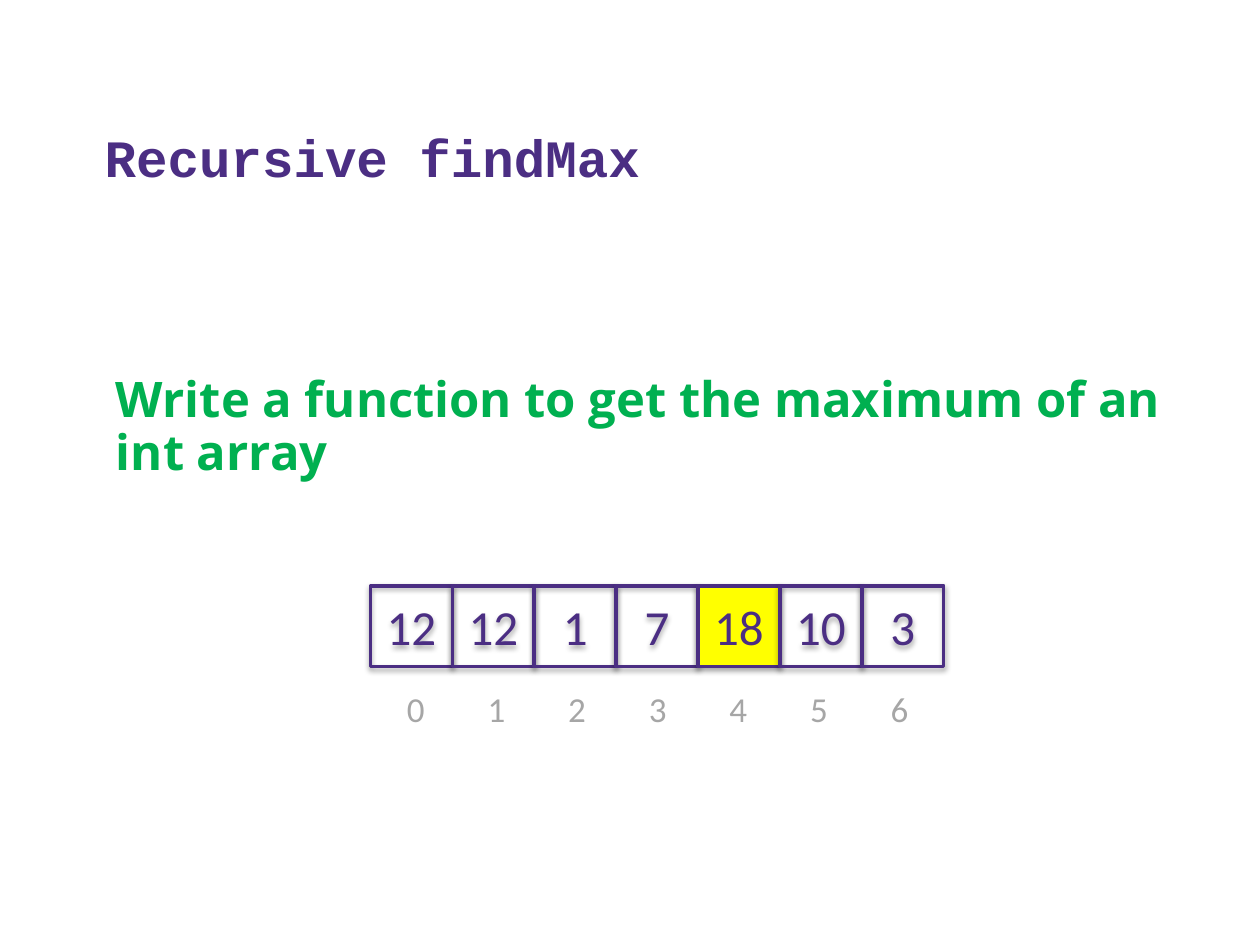
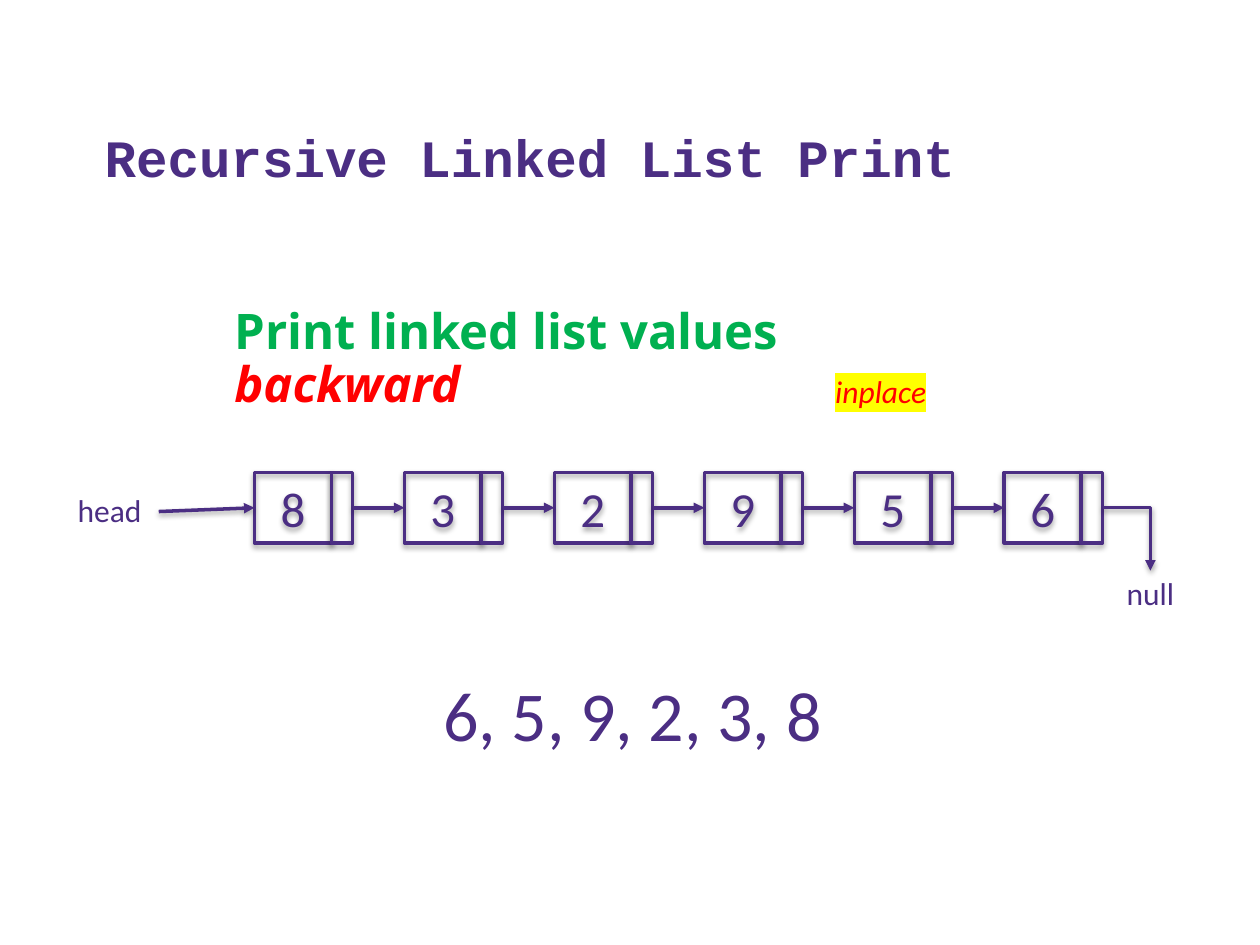
from lxml import etree
from pptx import Presentation
from pptx.dml.color import RGBColor
from pptx.enum.shapes import MSO_CONNECTOR, MSO_SHAPE
from pptx.enum.text import MSO_ANCHOR, MSO_AUTO_SIZE, PP_ALIGN
from pptx.oxml.ns import qn
from pptx.util import Inches, Pt

RECT = MSO_SHAPE.RECTANGLE
LINE, ELBOW = MSO_CONNECTOR.STRAIGHT, MSO_CONNECTOR.ELBOW
LEFT, MID = PP_ALIGN.LEFT, PP_ALIGN.CENTER
TOP, CENTRE, LOW = MSO_ANCHOR.TOP, MSO_ANCHOR.MIDDLE, MSO_ANCHOR.BOTTOM

PURPLE = RGBColor(0x4B, 0x2E, 0x83)
GREEN = RGBColor(0x00, 0xB0, 0x50)
RED = RGBColor(0xFF, 0x00, 0x00)
GREY = RGBColor(0xA6, 0xA6, 0xA6)
YELLOW = RGBColor(0xFF, 0xFF, 0x00)


def write(shape, text, size=28, color=PURPLE, face="Calibri", bold=False,
          italic=False, align=MID, anchor=TOP, wrap=False, mark=None):
    """Add a formatted run to the shape's first paragraph."""
    frame = shape.text_frame
    frame.auto_size = MSO_AUTO_SIZE.NONE
    frame.word_wrap = wrap
    frame.vertical_anchor = anchor
    para = frame.paragraphs[0]
    para.alignment = align
    run = para.add_run()
    run.text = text
    font = run.font
    font.size, font.bold, font.italic = Pt(size), bold, italic
    font.color.rgb = color
    if mark:
        light = etree.SubElement(run._r.get_or_add_rPr(), qn("a:highlight"))
        etree.SubElement(light, qn("a:srgbClr"), val=str(mark))
    font.name = face


def ink(shape, arrow=False):
    """Give a box or an arrow its purple line and soft shadow."""
    shape.line.color.rgb = PURPLE
    shape.line.width = Pt(2)
    props = shape._element.spPr
    if arrow:
        etree.SubElement(props.find(qn("a:ln")), qn("a:tailEnd"), type="triangle")
    glow = etree.SubElement(props, qn("a:effectLst"))
    shade = etree.SubElement(glow, qn("a:outerShdw"), blurRad="40000",
                             dist="22000", dir="5400000", rotWithShape="0")
    black = etree.SubElement(shade, qn("a:srgbClr"), val="000000")
    etree.SubElement(black, qn("a:alpha"), val="35000")


deck = Presentation()
deck.slide_width, deck.slide_height = Inches(10), Inches(7.5)

# Titles and tasks
PAGES = [
    ("Recursive findMax", (0.82, 2.93, 8.96, 0.68),
     [("Write a function to get the maximum of an int array", GREEN, False)]),
    ("Recursive Linked List Print", (1.76, 2.39, 6.25, 0.68),
     [("Print linked list values ", GREEN, False), ("backward", RED, True)]),
]
for name, place, parts in PAGES:
    slide = deck.slides.add_slide(deck.slide_layouts[1])
    title, task = slide.shapes.title, slide.placeholders[1]
    for box, spot in ((title, (0.73, 0.41, 8.95, 1.08)), (task, place)):
        box.left, box.top, box.width, box.height = map(Inches, spot)
    title.text_frame.margin_bottom = 0
    write(title, name, size=30, face="Courier New", bold=True, align=LEFT,
          anchor=LOW, wrap=True)
    para = task.text_frame.paragraphs[0]
    para.space_before, para.line_spacing = Pt(0), 0.9
    props = para._p.get_or_add_pPr()
    props.set("marL", "0")
    props.set("indent", "0")
    etree.SubElement(props, qn("a:buNone"))
    for text, color, italic in parts:
        write(task, text, color=color, face="Open Sans", bold=True,
              italic=italic, align=LEFT, wrap=True)

# Array with its indexes
first, second = (slide.shapes for slide in deck.slides)
CELL, EDGE = 0.65, 2.94
values = [12, 12, 1, 7, 18, 10, 3]
for i, value in enumerate(values):
    cell = first.add_shape(RECT, Inches(EDGE + i * CELL), Inches(4.65),
                           Inches(CELL), Inches(0.64))
    if value == max(values):
        cell.fill.solid()
        cell.fill.fore_color.rgb = YELLOW
    else:
        cell.fill.background()
    ink(cell)
    write(cell, str(value), anchor=CENTRE)
    index = first.add_textbox(Inches(3.13 + i * 0.64), Inches(5.41),
                              Inches(0.34), Inches(0.44))
    write(index, str(i), size=20, color=GREY)

# Linked list
START, STEP, DATA, LINK = 2.02, 1.19, 0.61, 0.17
ROW, HIGH = 3.75, 0.56
AXIS = ROW + HIGH / 2
nodes = [8, 3, 2, 9, 5, 6]
arrows = [(LINE, 1.26, 4.06, START, AXIS)]
for i, value in enumerate(nodes):
    left = START + i * STEP
    for x, width, text in ((left, DATA, str(value)), (left + DATA, LINK, "")):
        part = second.add_shape(RECT, Inches(x), Inches(ROW),
                                Inches(width), Inches(HIGH))
        part.fill.background()
        ink(part)
        if text:
            write(part, text, anchor=CENTRE)
    out = left + DATA + LINK
    if i < len(nodes) - 1:
        arrows.append((LINE, out, AXIS, left + STEP, AXIS))
    else:
        arrows.append((ELBOW, out, AXIS, 9.13, 4.53))

for kind, *ends in arrows:
    arrow = second.add_connector(kind, *map(Inches, ends))
    if kind == ELBOW:
        arrow._element.spPr.find(qn("a:prstGeom")).set("prst", "bentConnector2")
    ink(arrow, arrow=True)

for text, spot, look in [
    ("head", (0.48, 3.85, 0.78, 0.4), {"size": 18}),
    ("null", (8.74, 4.51, 0.78, 0.4), {"size": 18}),
    (", ".join(map(str, reversed(nodes))), (3.4, 5.28, 3.24, 0.77), {"size": 40}),
    ("inplace", (6.52, 2.9, 0.94, 0.4),
     {"size": 18, "color": RED, "italic": True, "mark": YELLOW}),
]:
    write(second.add_textbox(*map(Inches, spot)), text, **look)

deck.save("out.pptx")
